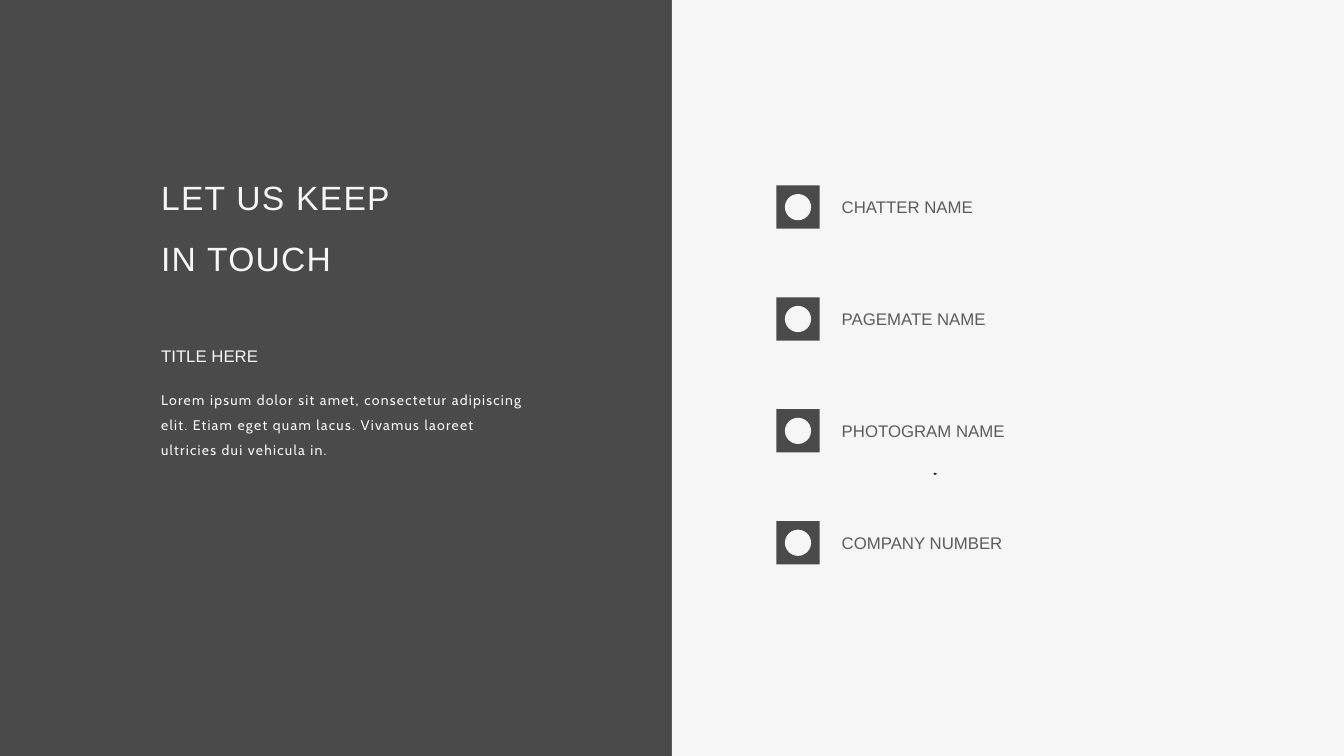
from pptx import Presentation
from pptx.dml.color import RGBColor
from pptx.enum.shapes import MSO_SHAPE
from pptx.enum.text import MSO_ANCHOR
from pptx.util import Inches, Pt

RECTANGLE = MSO_SHAPE.RECTANGLE
OVAL = MSO_SHAPE.OVAL
TOP = MSO_ANCHOR.TOP

DARK = RGBColor(0x4A, 0x4A, 0x4A)
LIGHT = RGBColor(0xF6, 0xF6, 0xF6)
GREY = RGBColor(0x5C, 0x5C, 0x5C)
SPECK = RGBColor(0x26, 0x26, 0x26)

SLIDE_WIDTH, SLIDE_HEIGHT = 13.33, 7.5
HALF = SLIDE_WIDTH / 2

# Left column and the grid of contact rows
TEXT_LEFT = 1.5
TILE_LEFT, FIRST_ROW, ROW_PITCH = 7.7, 1.84, 1.11
TILE, ICON = 0.43, 0.26
LABEL_LEFT, LABEL_WIDTH, LABEL_HEIGHT = 8.25, 3.3, 0.3
CONTACTS = ["CHATTER NAME", "PAGEMATE NAME", "PHOTOGRAM NAME", "COMPANY NUMBER"]


def add_block(slide, kind, left, top, width, height, color):
    shape = slide.shapes.add_shape(
        kind, Inches(left), Inches(top), Inches(width), Inches(height))
    shape.shadow.inherit = False
    shape.fill.solid()
    shape.fill.fore_color.rgb = color
    shape.line.fill.background()


def add_text(slide, box, lines, size, color, font="Arial",
             line_spacing=None, letter_spacing=None, wrap=True):
    frame = slide.shapes.add_textbox(*map(Inches, box)).text_frame
    frame.word_wrap = wrap
    frame.vertical_anchor = TOP
    for index, line in enumerate(lines):
        paragraph = frame.add_paragraph() if index else frame.paragraphs[0]
        run = paragraph.add_run()
        run.text = line
        paragraph.font.name = font
        paragraph.font.size = Pt(size)
        paragraph.font.color.rgb = color
        if line_spacing:
            paragraph.line_spacing = line_spacing
        if letter_spacing:
            # Letter spacing is stored in hundredths of a point
            run._r.get_or_add_rPr().set("spc", str(round(letter_spacing * 100)))


def add_contact(slide, row, label):
    top = FIRST_ROW + row * ROW_PITCH
    inset = (TILE - ICON) / 2
    add_block(slide, RECTANGLE, TILE_LEFT, top, TILE, TILE, DARK)
    add_block(slide, OVAL, TILE_LEFT + inset, top + inset, ICON, ICON, LIGHT)
    label_top = top + (TILE - LABEL_HEIGHT) / 2
    add_text(slide, (LABEL_LEFT, label_top, LABEL_WIDTH, LABEL_HEIGHT),
             [label], 12, GREY)


def main():
    presentation = Presentation()
    presentation.slide_width = Inches(SLIDE_WIDTH)
    presentation.slide_height = Inches(SLIDE_HEIGHT)
    slide = presentation.slides.add_slide(presentation.slide_layouts[6])

    # Dark background with a light right half
    slide.background.fill.solid()
    slide.background.fill.fore_color.rgb = DARK
    add_block(slide, RECTANGLE, HALF, 0, HALF, SLIDE_HEIGHT, LIGHT)

    # Contact rows and the small speck below the third one
    for row, label in enumerate(CONTACTS):
        add_contact(slide, row, label)
    add_block(slide, OVAL, 9.26, 4.69, 0.03, 0.02, SPECK)

    # Heading, subtitle and body text
    add_text(slide, (TEXT_LEFT, 1.51, 2.8, 1.25), ["LET US KEEP", "IN TOUCH"],
             24, LIGHT, line_spacing=1.5, letter_spacing=0.9, wrap=False)
    add_text(slide, (TEXT_LEFT, 3.38, 1.87, 0.3), ["TITLE HERE"], 12, LIGHT)
    add_text(slide, (TEXT_LEFT, 3.75, 3.79, 0.83),
             ["Lorem ipsum dolor sit amet, consectetur adipiscing elit. "
              "Etiam eget quam lacus. Vivamus laoreet ultricies dui vehicula in."],
             10, LIGHT, font="Cabin", line_spacing=1.5, letter_spacing=0.9)

    presentation.save("out.pptx")


if __name__ == "__main__":
    main()
